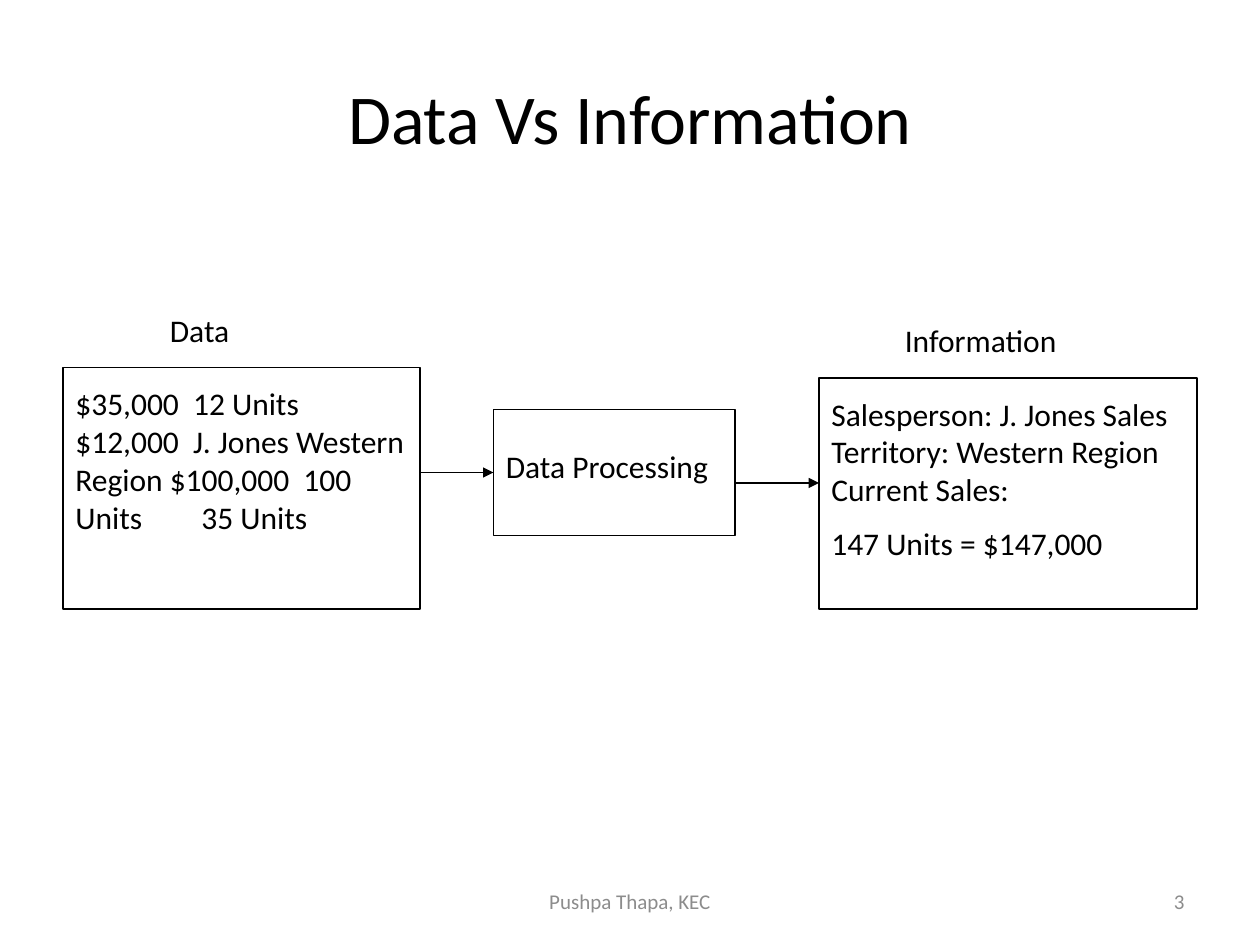
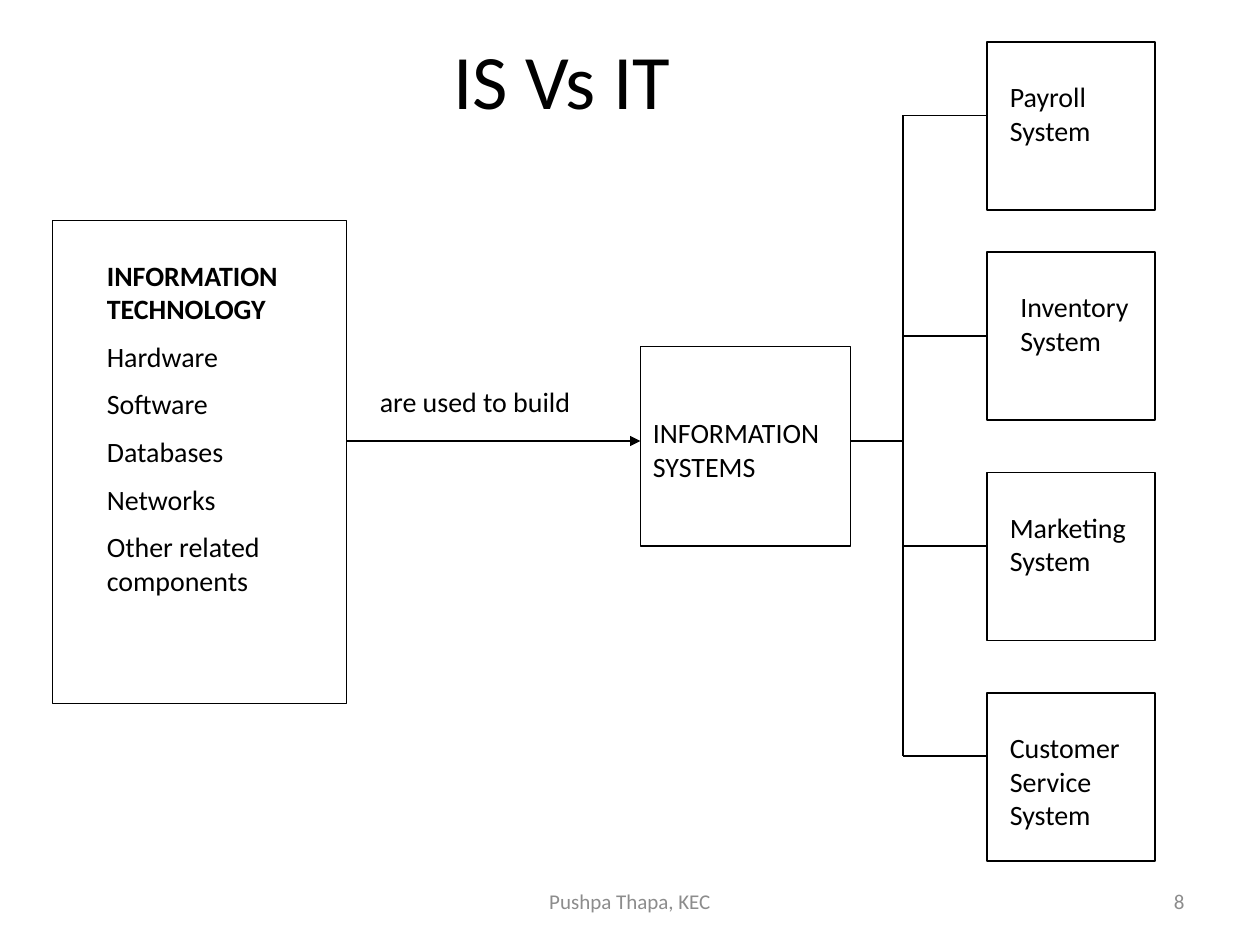
from dataclasses import dataclass

from pptx import Presentation
from pptx.dml.color import RGBColor
from pptx.enum import shapes, text
from pptx.oxml import ns, xmlchemy
from pptx.util import Pt

BLACK = RGBColor(0x00, 0x00, 0x00)
GREY = RGBColor(0x8C, 0x8C, 0x8C)
FONT = "Calibri"
LINE_WIDTH = 0.75
FOOTER = "Pushpa Thapa, KEC"
FOOTER_TOP, FOOTER_HEIGHT = 500.5, 28.75


@dataclass
class Box:
    left: float
    top: float
    width: float
    height: float


@dataclass
class Label:
    area: Box
    lines: list[str]
    size: float = 18
    color: RGBColor = BLACK
    align: text.PP_ALIGN = text.PP_ALIGN.LEFT
    anchor: text.MSO_ANCHOR = text.MSO_ANCHOR.TOP
    bold_first: bool = False


@dataclass
class Link:
    x1: float
    y1: float
    x2: float
    y2: float
    arrow: bool = False


@dataclass
class System:
    name: str
    top: float
    branch_y: float
    text_left: float = 570
    text_width: float = 84


def draw_box(page, box: Box) -> None:
    shape = page.shapes.add_shape(
        shapes.MSO_SHAPE.RECTANGLE,
        Pt(box.left), Pt(box.top), Pt(box.width), Pt(box.height))
    shape.shadow.inherit = False
    shape.fill.background()
    shape.line.color.rgb = BLACK
    shape.line.width = Pt(LINE_WIDTH)


def draw_label(page, label: Label) -> None:
    area = label.area
    frame = page.shapes.add_textbox(
        Pt(area.left), Pt(area.top), Pt(area.width), Pt(area.height)).text_frame
    frame.word_wrap = True
    frame.vertical_anchor = label.anchor
    for index, line in enumerate(label.lines):
        para = frame.add_paragraph() if index else frame.paragraphs[0]
        para.text = line
        para.alignment = label.align
        para.space_before = Pt(label.size / 2 if index else 0)
        para.font.name = FONT
        para.font.size = Pt(label.size)
        para.font.color.rgb = label.color
        para.font.bold = label.bold_first and index == 0


def draw_link(page, link: Link) -> None:
    connector = page.shapes.add_connector(
        shapes.MSO_CONNECTOR.STRAIGHT,
        Pt(link.x1), Pt(link.y1), Pt(link.x2), Pt(link.y2))
    connector.line.color.rgb = BLACK
    connector.line.width = Pt(LINE_WIDTH)
    properties = connector._element.spPr
    if link.arrow:
        head = xmlchemy.OxmlElement("a:tailEnd")
        head.set("type", "triangle")
        properties.find(ns.qn("a:ln")).append(head)
    properties.append(xmlchemy.OxmlElement("a:effectLst"))


def add_page(deck, title: str, title_area: Box, title_size: float, number: int):
    """Add a blank page with the shared title and footer."""
    page = deck.slides.add_slide(deck.slide_layouts[6])
    center, right = text.PP_ALIGN.CENTER, text.PP_ALIGN.RIGHT
    middle = text.MSO_ANCHOR.MIDDLE
    footer_area = Box(246, FOOTER_TOP, 228, FOOTER_HEIGHT)
    number_area = Box(516, FOOTER_TOP, 168, FOOTER_HEIGHT)
    draw_label(page, Label(title_area, [title], title_size, BLACK, center, middle))
    draw_label(page, Label(footer_area, [FOOTER], 12, GREY, center, middle))
    draw_label(page, Label(number_area, [str(number)], 12, GREY, right, middle))
    return page


def draw_diagram(page, boxes: list[Box], links: list[Link], labels: list[Label]) -> None:
    for box in boxes:
        draw_box(page, box)
    for link in links:
        draw_link(page, link)
    for label in labels:
        draw_label(page, label)


def build_data_page(deck) -> None:
    page = add_page(deck, "Data Vs Information", Box(36, 21.6, 648, 90), 40, 3)
    data = Box(36, 210, 204, 138)
    processing = Box(282, 234, 138, 72)
    information = Box(468, 216, 216, 132)
    links = [
        Link(data.left + data.width, 270, processing.left, 270, arrow=True),
        Link(processing.left + processing.width, 276, information.left, 276, arrow=True),
    ]
    labels = [
        Label(Box(90, 174, 84, 36), ["Data"]),
        Label(Box(510, 180, 138, 36), ["Information"]),
        Label(Box(36, 216, 204, 94), [
            "$35,000  12 Units $12,000  J. Jones Western Region "
            "$100,000  100 Units  \t35 Units"]),
        Label(Box(282, 252, 132, 29), ["Data Processing"]),
        Label(Box(468, 222, 222, 105), [
            "Salesperson: J. Jones Sales Territory: Western Region Current Sales:",
            "147 Units = $147,000"]),
    ]
    draw_diagram(page, [data, processing, information], links, labels)


def build_systems_page(deck) -> None:
    page = add_page(deck, "IS Vs IT", Box(186, 0, 270, 90), 44, 8)
    technology = Box(30, 126, 168, 276)
    information = Box(366, 198, 120, 114)
    system_left, system_side, trunk_x, flow_y = 564, 96, 516, 252
    systems = [
        System("Payroll System", 24, 66),
        System("Inventory System", 144, 192, 576, 78),
        System("Marketing System", 270, 312),
        System("Customer Service System", 396, 432),
    ]

    # Main flow and the trunk that feeds the systems
    boxes = [technology, information]
    links = [
        Link(technology.left + technology.width, flow_y, information.left, flow_y, arrow=True),
        Link(information.left + information.width, flow_y, trunk_x, flow_y),
        Link(trunk_x, systems[0].branch_y, trunk_x, systems[-1].branch_y),
    ]
    labels = [
        Label(Box(54, 144, 156, 210), [
            "INFORMATION TECHNOLOGY", "Hardware", "Software", "Databases",
            "Networks", "Other related components"], 16, bold_first=True),
        Label(Box(210, 216, 150, 27), ["are used to build"], 16),
        Label(Box(366, 234, 132, 46), ["INFORMATION SYSTEMS"], 16),
    ]

    # One box, branch and name per system
    for system in systems:
        boxes.append(Box(system_left, system.top, system_side, system_side))
        links.append(Link(trunk_x, system.branch_y, system_left, system.branch_y))
        area = Box(system.text_left, system.top + 18, system.text_width, 46)
        labels.append(Label(area, [system.name], 16))
    draw_diagram(page, boxes, links, labels)


def main() -> None:
    deck = Presentation()
    deck.slide_width, deck.slide_height = Pt(720), Pt(540)
    build_data_page(deck)
    build_systems_page(deck)
    deck.save("out.pptx")


if __name__ == "__main__":
    main()
